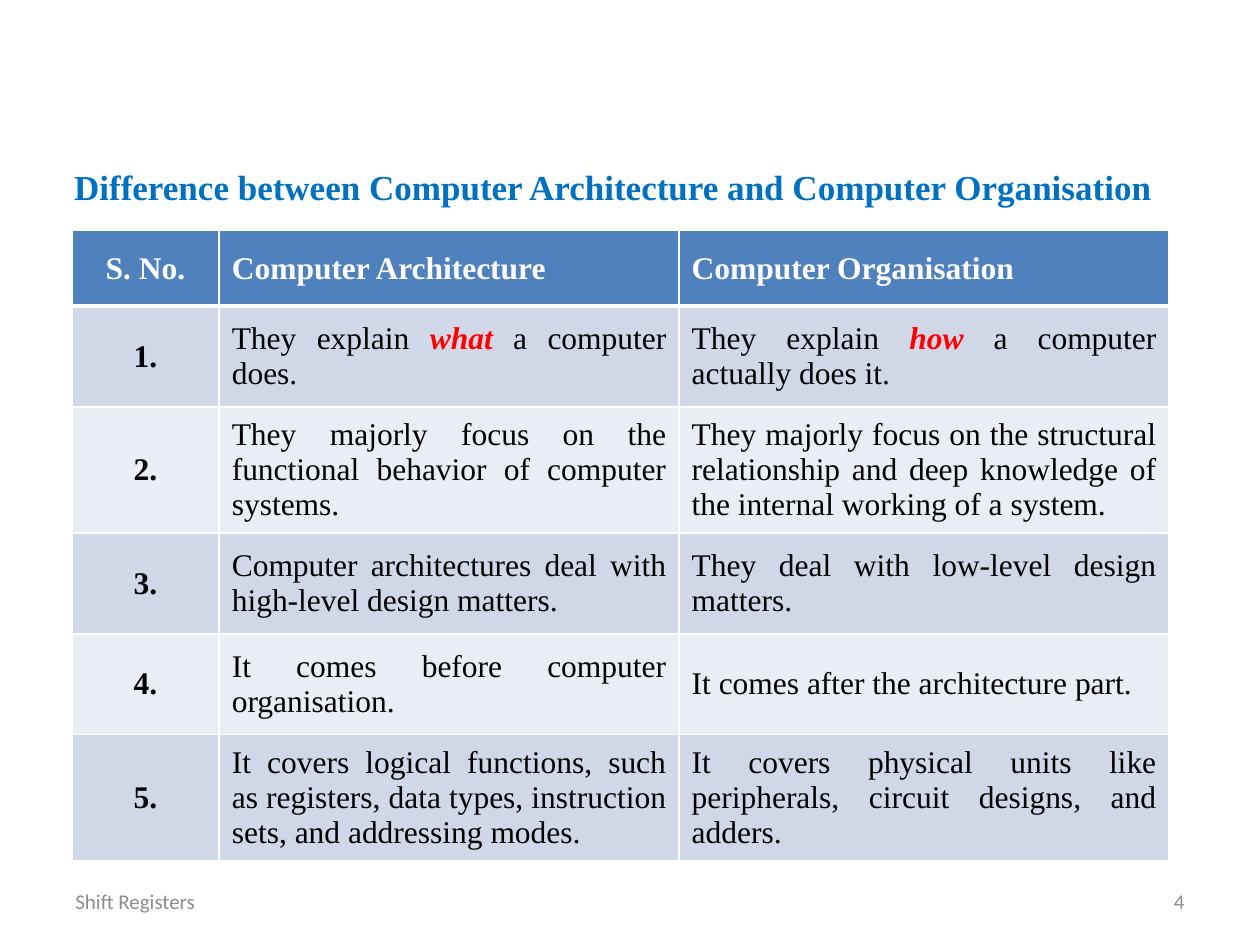
"""Build a slide comparing computer architecture with computer organisation."""
from dataclasses import dataclass

from lxml.etree import SubElement
from pptx import Presentation
from pptx.dml.color import RGBColor
from pptx.enum.text import MSO_ANCHOR, PP_ALIGN
from pptx.oxml.ns import qn
from pptx.util import Inches, Pt

COLORS = {
    "title": "0070C0", "header": "4F81BD", "odd": "D0D8E8", "even": "E9EDF4",
    "white": "FFFFFF", "black": "000000", "red": "FF0000", "gray": "8C8C8C",
}
SERIF = "Times New Roman"


@dataclass
class Run:
    text: str
    size: int = 18
    color: str = "black"
    bold: bool = False
    italic: bool = False
    font: str = SERIF


@dataclass
class Label:
    box: tuple[float, float, float, float]
    run: Run
    align: PP_ALIGN = PP_ALIGN.LEFT
    spacing: float = 1.0
    top: float = 0.05


LABELS = [
    Label((0.5, 6.95, 2.33, 0.4), Run("Shift Registers", 12, "gray", font="Calibri")),
    Label((7.17, 6.95, 2.33, 0.4), Run("4", 12, "gray", font="Calibri"), PP_ALIGN.RIGHT),
    Label((0.49, 1.12, 8.8, 0.57),
          Run("Difference between Computer Architecture and Computer Organisation",
              20, "title", bold=True),
          PP_ALIGN.JUSTIFY, 1.5, 0.04),
]
HEADERS = ["S. No.", "Computer Architecture", "Computer Organisation"]
ROWS = [
    ([Run("They explain "), Run("what", color="red", bold=True, italic=True),
      Run(" a computer does.")],
     [Run("They explain "), Run("how", color="red", bold=True, italic=True),
      Run(" a computer actually does it.")]),
    ([Run("They majorly focus on the functional behavior of computer systems.")],
     [Run("They majorly focus on the structural relationship and deep knowledge "
          "of the internal working of a system.")]),
    ([Run("Computer architectures deal with high-level design matters.")],
     [Run("They deal with low-level design matters.")]),
    ([Run("It comes before computer organisation.")],
     [Run("It comes after the architecture part.")]),
    ([Run("It covers logical functions, such as registers, data types, "
          "instruction sets, and addressing modes.")],
     [Run("It covers physical units like peripherals, circuit designs, and adders.")]),
]
COL_WIDTHS = [1.17, 3.65, 3.89]
ROW_HEIGHTS = [0.6] + [0.8] * len(ROWS)


def add_runs(p, runs: list[Run], align: PP_ALIGN) -> None:
    """Fill a paragraph with formatted runs."""
    p.alignment = align
    for run in runs:
        r = p.add_run()
        r.text = run.text
        f = r.font
        f.name, f.size, f.bold, f.italic = run.font, Pt(run.size), run.bold, run.italic
        f.color.rgb = RGBColor.from_string(COLORS[run.color])


def add_label(s, label: Label) -> None:
    """Add a one-paragraph text box."""
    tf = s.shapes.add_textbox(*map(Inches, label.box)).text_frame
    tf.word_wrap = True
    tf.vertical_anchor = MSO_ANCHOR.MIDDLE
    tf.margin_top = Inches(label.top)
    p = tf.paragraphs[0]
    p.line_spacing = label.spacing
    add_runs(p, [label.run], label.align)


def set_borders(cell, top: int, bottom: int) -> None:
    """Draw white borders around a cell, with widths in points."""
    tc_pr = cell._tc.get_or_add_tcPr()
    for tag, width in (("lnL", 1), ("lnR", 1), ("lnT", top), ("lnB", bottom)):
        ln = SubElement(tc_pr, qn(f"a:{tag}"), w=str(Pt(width)))
        fill = SubElement(ln, qn("a:solidFill"))
        SubElement(fill, qn("a:srgbClr"), val=COLORS["white"])


def fill_cell(cell, row: int, runs: list[Run], align: PP_ALIGN) -> None:
    """Style one table cell according to its row and add its text."""
    set_borders(cell, 3 if row == 1 else 1, 3 if row == 0 else 1)
    color = "header" if row == 0 else "odd" if row % 2 else "even"
    cell.fill.solid()
    cell.fill.fore_color.rgb = RGBColor.from_string(COLORS[color])
    cell.vertical_anchor = MSO_ANCHOR.MIDDLE
    add_runs(cell.text_frame.paragraphs[0], runs, align)


def add_comparison(s) -> None:
    """Add the comparison table."""
    table = s.shapes.add_table(
        len(ROW_HEIGHTS), len(COL_WIDTHS), Inches(0.57), Inches(1.83),
        Inches(sum(COL_WIDTHS)), Inches(sum(ROW_HEIGHTS))).table
    for col, width in zip(table.columns, COL_WIDTHS):
        col.width = Inches(width)
    for row, height in zip(table.rows, ROW_HEIGHTS):
        row.height = Inches(height)
    for j, text in enumerate(HEADERS):
        align = PP_ALIGN.LEFT if j else PP_ALIGN.CENTER
        fill_cell(table.cell(0, j), 0, [Run(text, color="white", bold=True)], align)
    for i, texts in enumerate(ROWS, 1):
        fill_cell(table.cell(i, 0), i, [Run(f"{i}.", bold=True)], PP_ALIGN.CENTER)
        for j, runs in enumerate(texts, 1):
            fill_cell(table.cell(i, j), i, runs, PP_ALIGN.JUSTIFY)


def main() -> None:
    """Build and save the presentation."""
    prs = Presentation()
    prs.slide_width, prs.slide_height = Inches(10), Inches(7.5)
    s = prs.slides.add_slide(prs.slide_layouts[6])
    for label in LABELS:
        add_label(s, label)
    add_comparison(s)
    prs.save("out.pptx")


if __name__ == "__main__":
    main()
